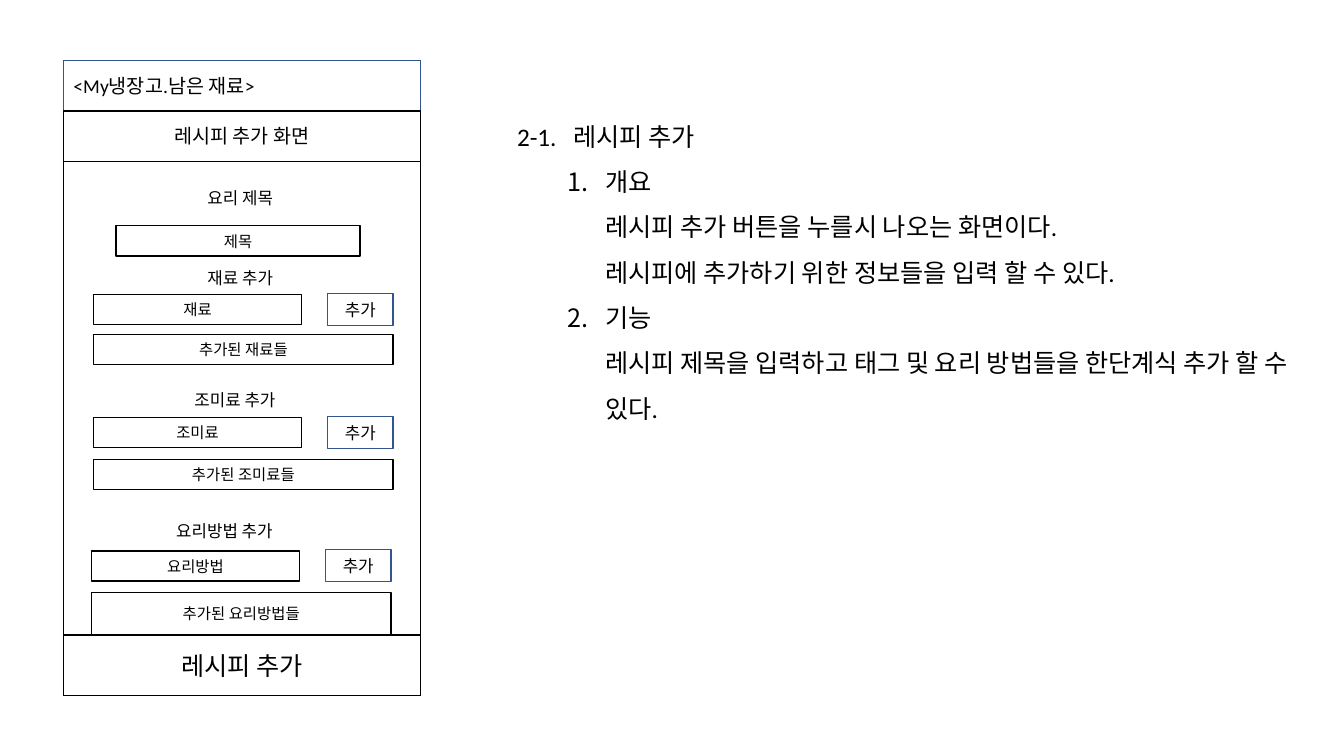
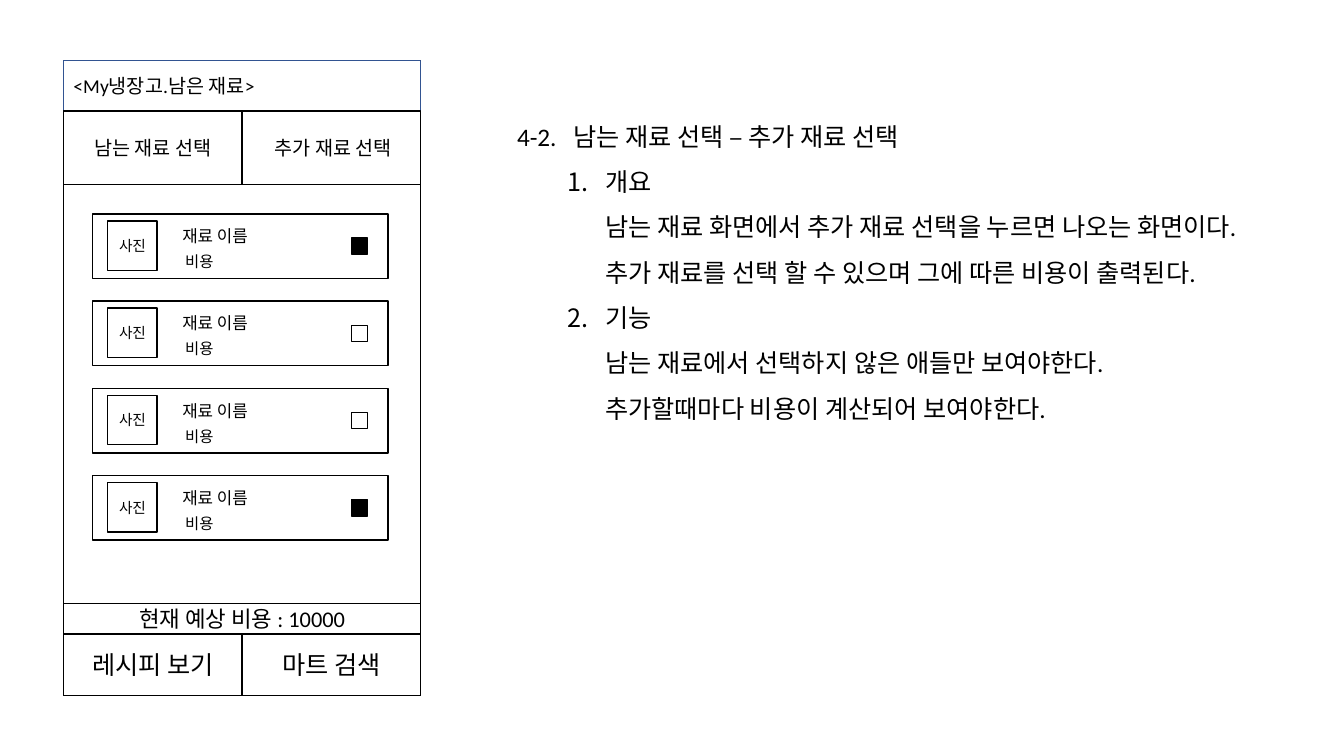
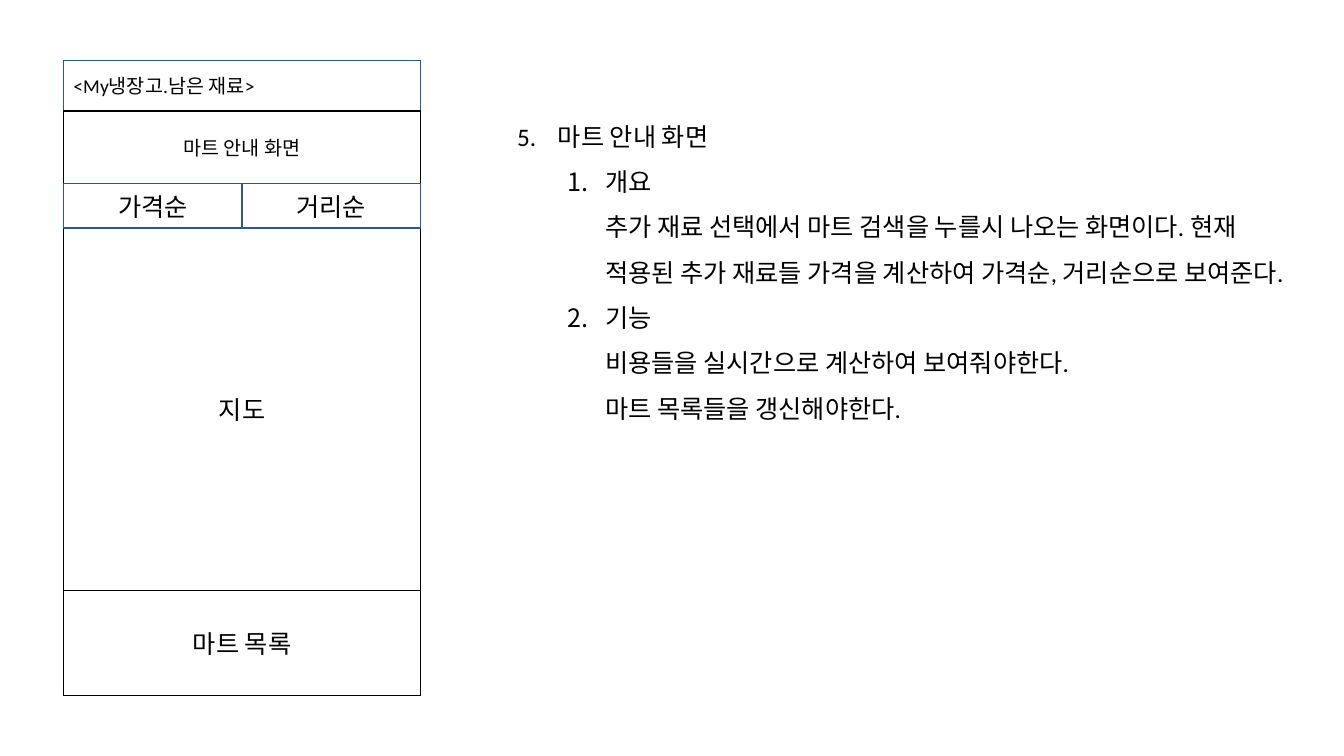
from dataclasses import dataclass

from lxml.etree import SubElement
from pptx import Presentation
from pptx.dml.color import RGBColor
from pptx.enum.shapes import MSO_SHAPE as Shape
from pptx.enum.text import MSO_ANCHOR as Anchor, MSO_AUTO_SIZE as AutoSize, PP_ALIGN as Align
from pptx.oxml.ns import qn
from pptx.util import Pt


@dataclass(frozen=True)
class Theme:
    """Colours, font and type sizes of the deck."""
    font: str = "Calibri"
    black: RGBColor = RGBColor(0, 0, 0)
    white: RGBColor = RGBColor(255, 255, 255)
    blue: RGBColor = RGBColor(0x32, 0x54, 0x91)
    body: float = 18
    total: float = 16
    bar: float = 14
    label: float = 12
    field: float = 11
    photo: float = 10.5


T = Theme()
# The phone screen, in points
LEFT, TOP, WIDTH, BOTTOM = 45.4, 43.2, 255, 496.8
HALF = WIDTH / 2
BAR_H = 36
BAR_BOTTOM = TOP + BAR_H


def add_run(p, text, size):
    """Add one run in the theme font."""
    r = p.add_run()
    r.text = text
    r.font.name = T.font
    r.font.size = Pt(size)
    r.font.color.rgb = T.black


def add_box(slide, x, y, w, h, text="", size=T.field, line=T.black, fill=None, align=Align.CENTER):
    """Add an outlined rectangle with optional text in its middle."""
    sp = slide.shapes.add_shape(Shape.RECTANGLE, Pt(x), Pt(y), Pt(w), Pt(h))
    sp.shadow.inherit = False
    sp.line.color.rgb = line
    sp.line.width = Pt(1)
    if fill is None:
        sp.fill.background()
    else:
        sp.fill.solid()
        sp.fill.fore_color.rgb = fill
    if text:
        tf = sp.text_frame
        tf.vertical_anchor = Anchor.MIDDLE
        p = tf.paragraphs[0]
        p.alignment = align
        add_run(p, text, size)


def add_text_frame(slide, x, y, w, h):
    """Add a wrapping text box and return its text frame."""
    tf = slide.shapes.add_textbox(Pt(x), Pt(y), Pt(w), Pt(h)).text_frame
    tf.word_wrap = True
    tf.auto_size = AutoSize.SHAPE_TO_FIT_TEXT
    return tf


def add_label(slide, x, y, w, h, text, size=T.label):
    """Add a one-line caption."""
    add_run(add_text_frame(slide, x, y, w, h).paragraphs[0], text, size)


def set_hanging(p, margin, hang):
    """Give a paragraph a left margin with a hanging first line."""
    pPr = p._p.get_or_add_pPr()
    pPr.set("marL", str(Pt(margin)))
    pPr.set("indent", str(-Pt(hang)))
    return pPr


def add_notes_column(slide, number, title, title_indent, sections, height):
    """Add the numbered description beside the phone."""
    tf = add_text_frame(slide, 362.2, 72, 575.3, height)
    p = tf.paragraphs[0]
    p.line_spacing = 1.5
    set_hanging(p, title_indent, title_indent)
    add_run(p, f"{number}\t{title}", T.body)
    for lines in sections:
        p = tf.add_paragraph()
        p.level = 1
        p.line_spacing = 1.5
        pPr = set_hanging(p, 63, 27)
        SubElement(pPr, qn("a:buAutoNum"), type="arabicPeriod")
        for i, line in enumerate(lines):
            if i:
                p.add_line_break()
            add_run(p, line, T.body)


def add_phone(prs):
    """Add a blank slide with the phone outline and its top bar."""
    slide = prs.slides.add_slide(prs.slide_layouts[6])
    add_box(slide, LEFT, TOP, WIDTH, BOTTOM - TOP)
    add_box(slide, LEFT, TOP, WIDTH, BAR_H, "<My냉장고.남은 재료>", T.bar, T.blue, align=Align.LEFT)
    return slide


def add_halves(slide, y, h, texts, size, line=T.black, fill=None):
    """Add two equal boxes side by side across the phone."""
    for i, text in enumerate(texts):
        add_box(slide, LEFT + i * HALF, y, HALF, h, text, size, line, fill)


def add_entry_group(slide, name, x, label_x, label_y, field_y, list_y, list_h=21.6):
    """Add a caption, an input with its button, and the list of added items."""
    add_label(slide, label_x, label_y, 104, 21.6, f"{name} 추가")
    add_box(slide, x, field_y, 148.3, 21.6, name)
    add_box(slide, x + 167, field_y - 0.9, 46.8, 23, "추가", T.label, T.blue)
    add_box(slide, x, list_y, 213.8, list_h, f"추가된 {name}들")


def add_item_card(slide, y, checked):
    """Add an ingredient card with photo, name, cost and checkbox."""
    x = 66.2
    add_box(slide, x, y, 211, 46.1, fill=T.white)
    add_box(slide, x + 10.8, y + 5, 35.3, 35.3, "사진", T.photo, fill=T.white)
    add_label(slide, x + 56.9, y + 5, 80.6, 21.6, "재료 이름")
    add_label(slide, x + 59, y + 23.8, 77, 20.9, "비용", T.field)
    add_box(slide, x + 185, y + 17.3, 11.5, 11.5, fill=T.black if checked else T.white)


def add_recipe_slide(prs):
    """Build the screen for adding a recipe."""
    slide = add_phone(prs)
    add_box(slide, LEFT, BAR_BOTTOM, WIDTH, 36, "레시피 추가 화면", T.bar)
    add_label(slide, 141.1, 130.3, 66.2, 21.6, "요리 제목")
    add_box(slide, 82.8, 161.3, 174.5, 21.6, "제목")
    add_entry_group(slide, "재료", 67, 141.1, 187.9, 210.4, 239)
    add_entry_group(slide, "조미료", 67, 131.8, 275, 298.2, 328.3)
    add_entry_group(slide, "요리방법", 65.5, 118.8, 368.6, 393.5, 423.4, 29.8)
    add_box(slide, LEFT, 453.6, WIDTH, 43.2, "레시피 추가", T.body, fill=T.white)
    add_notes_column(slide, "2-1.", "레시피 추가", 40, [
        ["개요", "레시피 추가 버튼을 누를시 나오는 화면이다.",
         "레시피에 추가하기 위한 정보들을 입력 할 수 있다."],
        ["기능", "레시피 제목을 입력하고 태그 및 요리 방법들을 한단계식 추가 할 수 있다."],
    ], 265.7)


def add_selection_slide(prs):
    """Build the screen for choosing extra ingredients."""
    slide = add_phone(prs)
    add_halves(slide, BAR_BOTTOM, 52.6, ["남는 재료 선택", " 추가 재료 선택"], T.bar)
    for i, checked in enumerate([True, False, False, True]):
        add_item_card(slide, 152.8 + i * 62.3, checked)
    add_box(slide, LEFT, 431.3, WIDTH, 21.6, "현재 예상 비용 : 10000", T.total, fill=T.white)
    add_halves(slide, 452.9, 43.9, ["레시피 보기", "마트 검색"], T.body, fill=T.white)
    add_notes_column(slide, "4-2.", "남는 재료 선택 – 추가 재료 선택", 40, [
        ["개요", "남는 재료 화면에서 추가 재료 선택을 누르면 나오는 화면이다.",
         "추가 재료를 선택 할 수 있으며 그에 따른 비용이 출력된다."],
        ["기능", "남는 재료에서 선택하지 않은 애들만 보여야한다.",
         "추가할때마다 비용이 계산되어 보여야한다."],
    ], 232.6)


def add_mart_slide(prs):
    """Build the screen that guides to marts."""
    slide = add_phone(prs)
    add_box(slide, LEFT, BAR_BOTTOM, WIDTH, 52.6, "마트 안내 화면", T.bar)
    add_box(slide, LEFT, 163, WIDTH, 258.7, "지도", T.body, fill=T.white)
    add_box(slide, LEFT, 421.7, WIDTH, 75.1, "마트 목록", T.body, fill=T.white)
    add_halves(slide, 131.3, 31.7, ["가격순", "거리순"], T.body, T.blue, T.white)
    add_notes_column(slide, "5.", "마트 안내 화면", 29.2, [
        ["개요", "추가 재료 선택에서 마트 검색을 누를시 나오는 화면이다. 현재 적용된 "
                 "추가 재료들 가격을 계산하여 가격순, 거리순으로 보여준다."],
        ["기능", "비용들을 실시간으로 계산하여 보여줘야한다.", "마트 목록들을 갱신해야한다."],
    ], 265.7)


def main():
    """Build and save the deck."""
    prs = Presentation()
    prs.slide_width, prs.slide_height = Pt(960), Pt(540)
    add_recipe_slide(prs)
    add_selection_slide(prs)
    add_mart_slide(prs)
    prs.save("out.pptx")


main()
